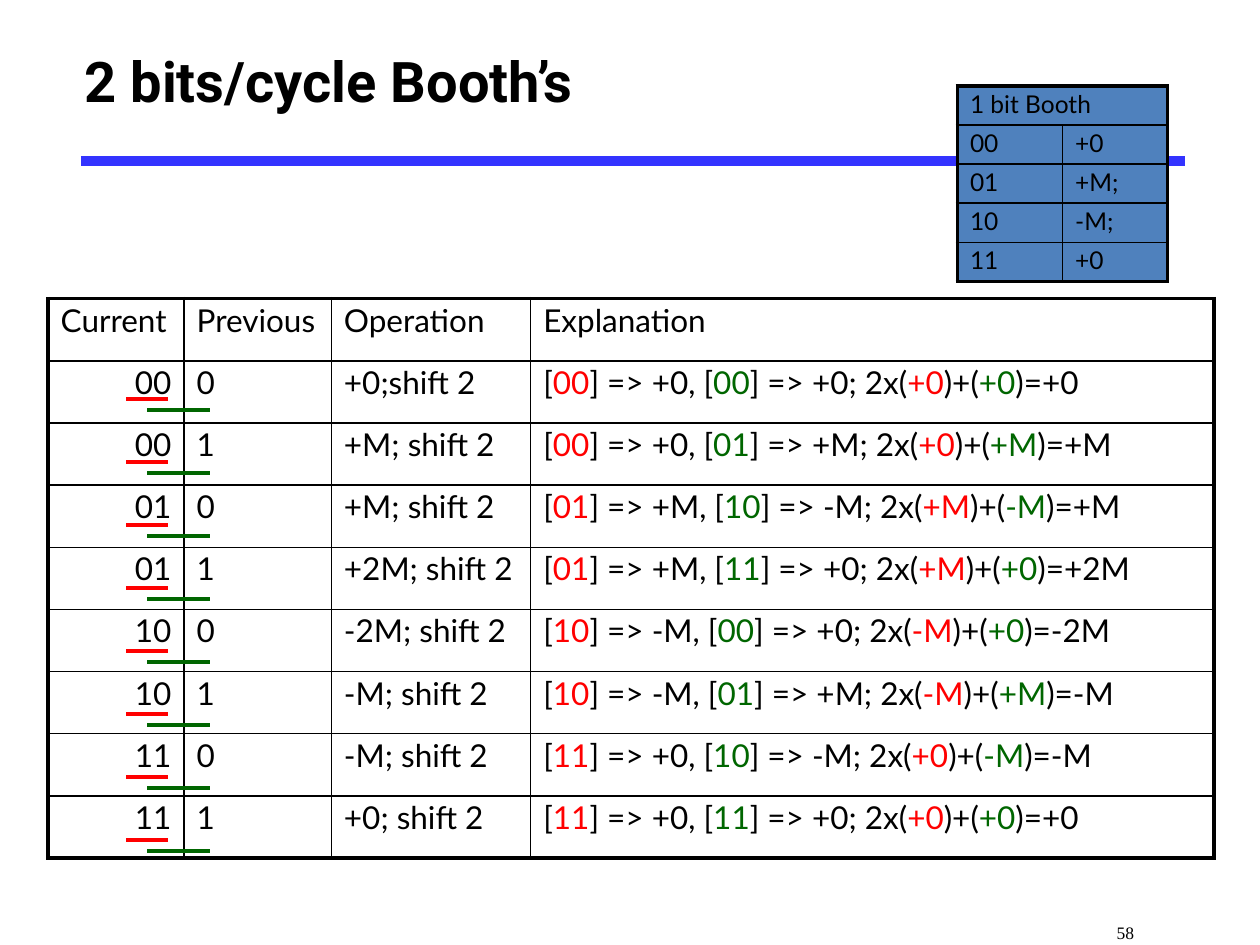
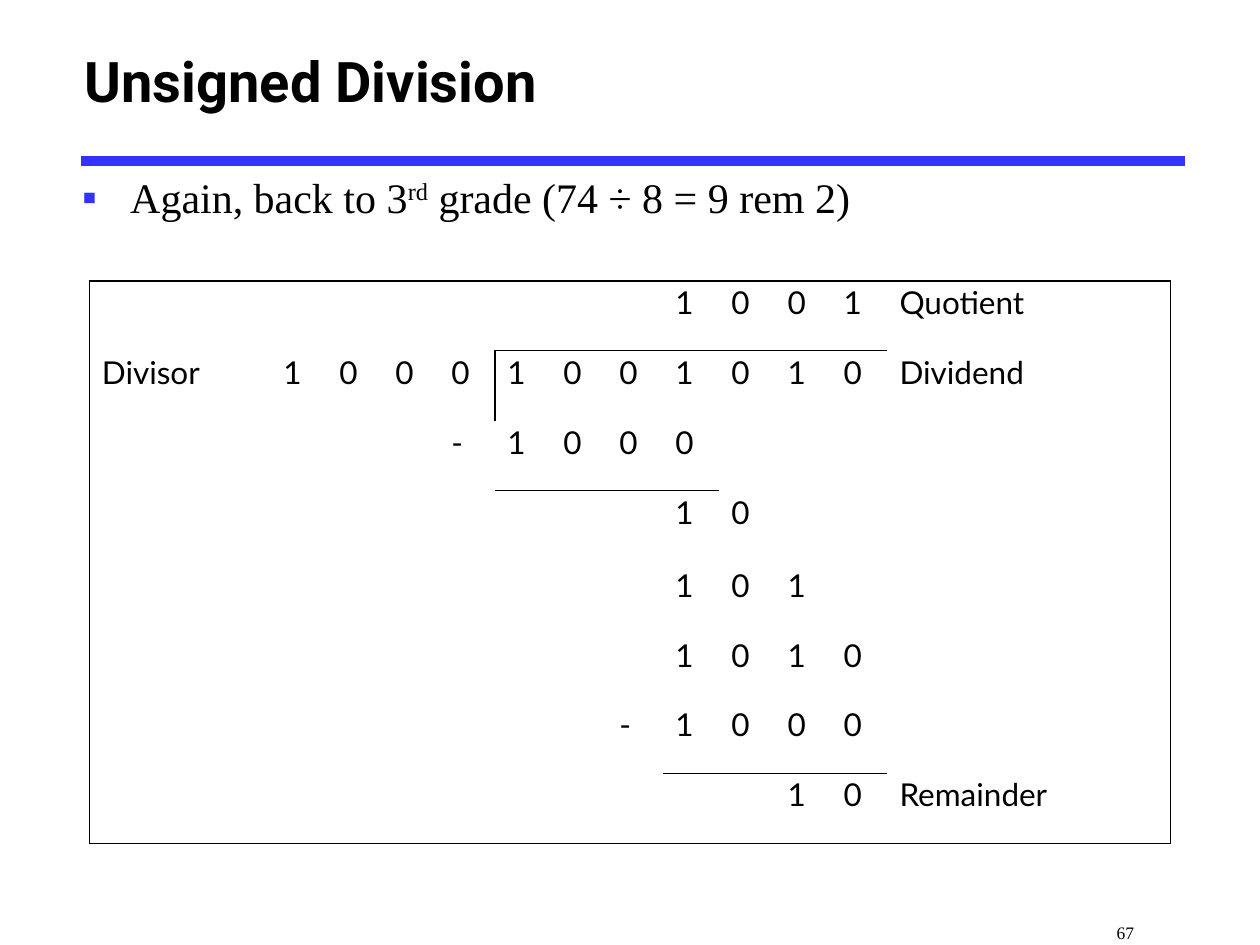
import pptx
import pptx.dml.color
import pptx.enum.shapes
import pptx.enum.text
import pptx.oxml
import pptx.oxml.ns
import pptx.util
from pptx.util import Cm

# Shared style
BLACK, RED, GREEN, RULE_BLUE, CELL_BLUE = "000000", "FF0000", "006600", "3333FF", "4F81BD"
TITLE_FONT, BODY_FONT, TABLE_FONT = "Roboto", "Times New Roman", "Lato"
THIN, THICK = 1, 2.25
PLAIN_TABLE_STYLE = "{2D5ABB26-0587-4C30-8999-92F81FD0307C}"
ALIGN = pptx.enum.text.PP_ALIGN
ANCHOR = pptx.enum.text.MSO_ANCHOR

# Slide 1 content
BOOTH_TITLE, BOOTH_PAGE = "2 bits/cycle Booth’s", "58"
ONE_BIT_HEADER = "1 bit Booth"
ONE_BIT_ROWS = [("00", "+0"), ("01", "+M;"), ("10", "-M;"), ("11", "+0")]
BOOTH_HEADER = ["Current", "Previous", "Operation", "Explanation"]
BOOTH_ROWS = [
    ("00", "0", "+0;shift 2"),
    ("00", "1", "+M; shift 2"),
    ("01", "0", "+M; shift 2"),
    ("01", "1", "+2M; shift 2"),
    ("10", "0", "-2M; shift 2"),
    ("10", "1", "-M; shift 2"),
    ("11", "0", "-M; shift 2"),
    ("11", "1", "+0; shift 2"),
]

# Slide 2 content: each row lists (first column, texts in consecutive cells)
DIVISION_TITLE, DIVISION_PAGE = "Unsigned Division", "67"
DIVISION_BULLET = [("Again, back to 3", None), ("rd", "30000"),
                   (" grade (74 ÷ 8 = 9 rem 2)", None)]
DIVISION_ROWS = [
    [(8, ["1", "0", "0", "1", "Quotient"])],
    [(0, ["Divisor", "1", "0", "0", "0"]),
     (5, ["1", "0", "0", "1", "0", "1", "0", "Dividend"])],
    [(4, ["-", "1", "0", "0", "0"])],
    [(8, ["1", "0"])],
    [(8, ["1", "0", "1"])],
    [(8, ["1", "0", "1", "0"])],
    [(7, ["-", "1", "0", "0", "0"])],
    [(10, ["1", "0", "Remainder"])],
]
DIVISION_COLUMNS = [3.66] + [1.13] * 11 + [5.72]
DIVISION_HEIGHTS = [1.41] * 3 + [1.47] + [1.41] * 4
# Line above a row: the columns it spans
DIVISION_LINES = {1: range(5, 12), 3: range(5, 9), 7: range(8, 12)}


def rgb(color):
    return pptx.dml.color.RGBColor.from_string(color)


def add_run(paragraph, text, font, size, color=BLACK, bold=False):
    run = paragraph.add_run()
    run.text = text
    run.font.name = font
    run.font.size = pptx.util.Pt(size)
    run.font.bold = bold
    run.font.color.rgb = rgb(color)
    return run


def place(shape, left, top, width, height):
    shape.left, shape.top = Cm(left), Cm(top)
    shape.width, shape.height = Cm(width), Cm(height)


def add_line(slide, left, right, y, color, width):
    line = slide.shapes.add_connector(
        pptx.enum.shapes.MSO_CONNECTOR.STRAIGHT, Cm(left), Cm(y), Cm(right), Cm(y))
    line.line.color.rgb = rgb(color)
    line.line.width = pptx.util.Pt(width)
    line._element.spPr.append(pptx.oxml.parse_xml(
        f"<a:effectLst {pptx.oxml.ns.nsdecls('a')}/>"))


def start_slide(presentation, layout_index, title, page):
    slide = presentation.slides.add_slide(presentation.slide_layouts[layout_index])
    add_line(slide, 1.63, 23.88, 3.25, RULE_BLUE, 6)
    # Title
    place(slide.shapes.title, 1.45, 0.2, 21.59, 2.84)
    frame = slide.shapes.title.text_frame
    frame.vertical_anchor = ANCHOR.MIDDLE
    frame.paragraphs[0].alignment = ALIGN.LEFT
    add_run(frame.paragraphs[0], title, TITLE_FONT, 32, bold=True)
    # Page number
    box = slide.shapes.add_textbox(Cm(20.07), Cm(18.08), Cm(5.23), Cm(0.97))
    frame = box.text_frame
    frame.word_wrap = True
    frame.vertical_anchor = ANCHOR.BOTTOM
    frame.margin_bottom = Cm(0.03)
    frame.paragraphs[0].alignment = ALIGN.CENTER
    add_run(frame.paragraphs[0], page, BODY_FONT, 10)
    return slide


def set_border(cell, side, width):
    if width:
        paint = f'<a:solidFill><a:srgbClr val="{BLACK}"/></a:solidFill>'
    else:
        paint = "<a:noFill/>"
    cell._tc.get_or_add_tcPr().append(pptx.oxml.parse_xml(
        f'<a:ln{side} {pptx.oxml.ns.nsdecls("a")} w="{int(pptx.util.Pt(width))}">'
        f"{paint}</a:ln{side}>"))


def add_table(slide, left, top, columns, heights, vertical, horizontal, fill=None):
    """vertical(row, edge) and horizontal(edge, column) give border widths."""
    frame = slide.shapes.add_table(len(heights), len(columns), Cm(left), Cm(top),
                                   Cm(sum(columns)), Cm(sum(heights)))
    table = frame.table
    table.first_row = table.horz_banding = False
    table._tbl.tblPr.find(pptx.oxml.ns.qn("a:tableStyleId")).text = PLAIN_TABLE_STYLE
    for column, width in zip(table.columns, columns):
        column.width = Cm(width)
    for r, height in enumerate(heights):
        table.rows[r].height = Cm(height)
        for c in range(len(columns)):
            cell = table.cell(r, c)
            set_border(cell, "L", vertical(r, c))
            set_border(cell, "R", vertical(r, c + 1))
            set_border(cell, "T", horizontal(r, c))
            set_border(cell, "B", horizontal(r + 1, c))
            if fill:
                cell.fill.solid()
                cell.fill.fore_color.rgb = rgb(fill)
            else:
                cell.fill.background()
    return table


def write_cell(cell, parts, size=18, alignment=ALIGN.LEFT):
    paragraph = cell.text_frame.paragraphs[0]
    paragraph.alignment = alignment
    paragraph.line_spacing = 0.9
    for text, color in parts:
        add_run(paragraph, text, TABLE_FONT, size, color)


def explanation(current, previous, operation):
    """Apply the one-bit rule to both overlapping bit pairs."""
    rule = {bits: action.rstrip(";") for bits, action in ONE_BIT_ROWS}
    low_pair = current[1] + previous
    high, low = rule[current], rule[low_pair]
    result = operation.split(";")[0]
    return [("[", BLACK), (current, RED), (f"] => {high}, [", BLACK),
            (low_pair, GREEN), (f"] => {low}; 2x(", BLACK), (high, RED),
            (")+(", BLACK), (low, GREEN), (f")={result}", BLACK)]


def build_booth_slide(presentation):
    slide = start_slide(presentation, 5, BOOTH_TITLE, BOOTH_PAGE)

    # Two-bit table
    columns, row_count = [2.74, 2.97, 4.02, 13.77], len(BOOTH_ROWS) + 1
    table = add_table(
        slide, 0.97, 6.02, columns, [11.28 / row_count] * row_count,
        lambda row, edge: THICK if edge in (0, len(columns)) else THIN,
        lambda edge, column: THICK if edge in (0, row_count) else THIN)
    for c, heading in enumerate(BOOTH_HEADER):
        write_cell(table.cell(0, c), [(heading, BLACK)])
    for r, (current, previous, operation) in enumerate(BOOTH_ROWS, 1):
        write_cell(table.cell(r, 0), [(current, BLACK)], alignment=ALIGN.RIGHT)
        write_cell(table.cell(r, 1), [(previous, BLACK)])
        write_cell(table.cell(r, 2), [(operation, BLACK)])
        write_cell(table.cell(r, 3), explanation(current, previous, operation))

    # Underlines of the two bit pairs
    for i in range(len(BOOTH_ROWS)):
        add_line(slide, 2.54, 3.38, 8.05 + 1.27 * i, RED, THICK)
        add_line(slide, 2.97, 4.24, 8.26 + 1.27 * i, GREEN, THICK)

    # One-bit table, its header spanning both columns
    row_count = len(ONE_BIT_ROWS) + 1
    table = add_table(
        slide, 19.3, 1.73, [2.12, 2.12], [3.94 / row_count] * row_count,
        lambda row, edge: THICK if edge in (0, 2) or row == 0 else THIN,
        lambda edge, column: THICK if edge in (0, row_count) else THIN, CELL_BLUE)
    table.cell(0, 0).merge(table.cell(0, 1))
    write_cell(table.cell(0, 0), [(ONE_BIT_HEADER, BLACK)], 14)
    for r, texts in enumerate(ONE_BIT_ROWS, 1):
        for c, text in enumerate(texts):
            write_cell(table.cell(r, c), [(text, BLACK)], 14)


def build_division_slide(presentation):
    slide = start_slide(presentation, 1, DIVISION_TITLE, DIVISION_PAGE)

    # Bullet
    body = slide.placeholders[1]
    place(body, 1.4, 3.33, 23.37, 2.84)
    paragraph = body.text_frame.paragraphs[0]
    paragraph.space_before = pptx.util.Pt(0)
    properties = paragraph._p.get_or_add_pPr()
    properties.set("marL", str(Cm(0.97)))
    properties.set("indent", str(-Cm(0.97)))
    namespace = pptx.oxml.ns.nsdecls("a")
    for bullet_xml in (
            f'<a:buClr {namespace}><a:srgbClr val="{RULE_BLUE}"/></a:buClr>',
            f'<a:buChar {namespace} char="▪"/>'):
        properties.append(pptx.oxml.parse_xml(bullet_xml))
    for text, baseline in DIVISION_BULLET:
        run = add_run(paragraph, text, BODY_FONT, 24)
        if baseline:
            run._r.get_or_add_rPr().set("baseline", baseline)

    # Long division
    column_count, row_count = len(DIVISION_COLUMNS), len(DIVISION_HEIGHTS)

    def vertical(row, edge):
        return THIN if edge in (0, column_count) or (row, edge) == (1, 5) else 0

    def horizontal(edge, column):
        outer = edge in (0, row_count)
        return THIN if outer or column in DIVISION_LINES.get(edge, ()) else 0

    table = add_table(slide, 1.8, 5.66, DIVISION_COLUMNS, DIVISION_HEIGHTS,
                      vertical, horizontal)
    for r, pieces in enumerate(DIVISION_ROWS):
        for first_column, texts in pieces:
            for c, text in enumerate(texts, first_column):
                write_cell(table.cell(r, c), [(text, BLACK)])


def main():
    presentation = pptx.Presentation()
    presentation.slide_width, presentation.slide_height = Cm(25.4), Cm(19.05)
    build_booth_slide(presentation)
    build_division_slide(presentation)
    presentation.save("out.pptx")


if __name__ == "__main__":
    main()
